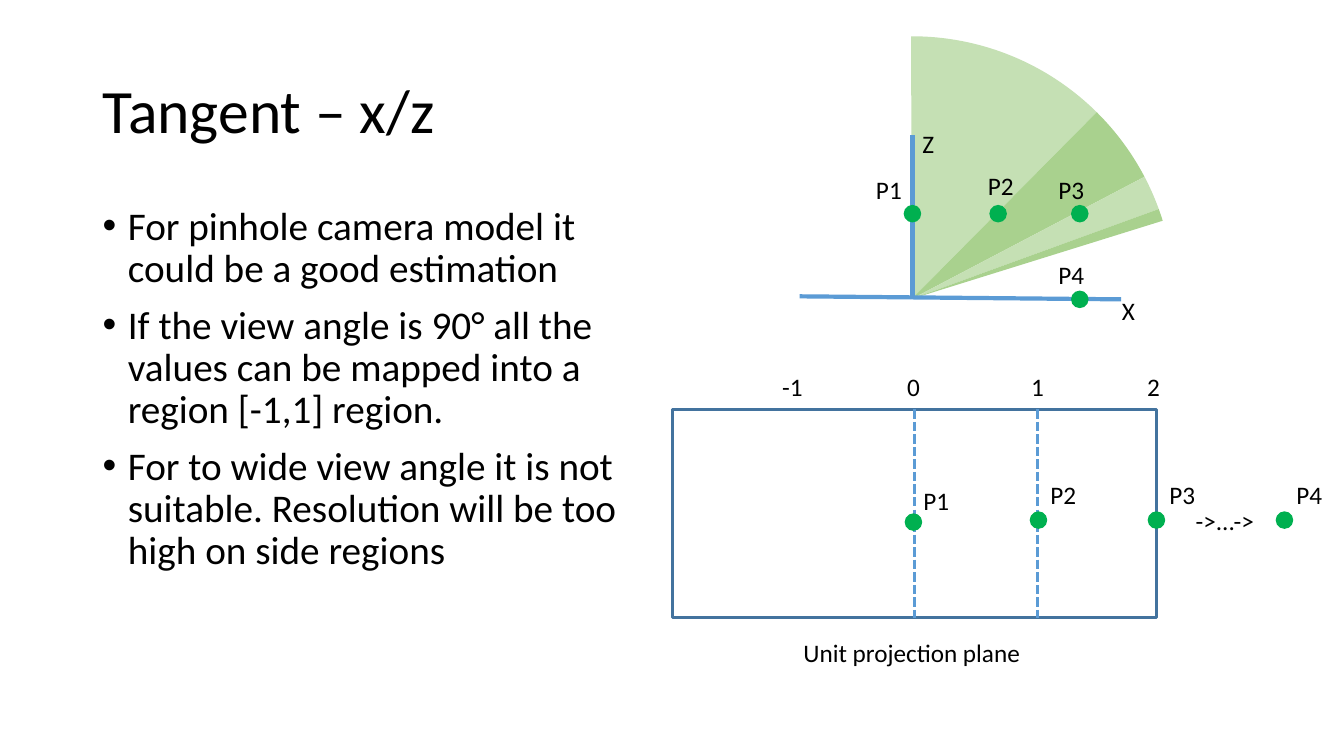
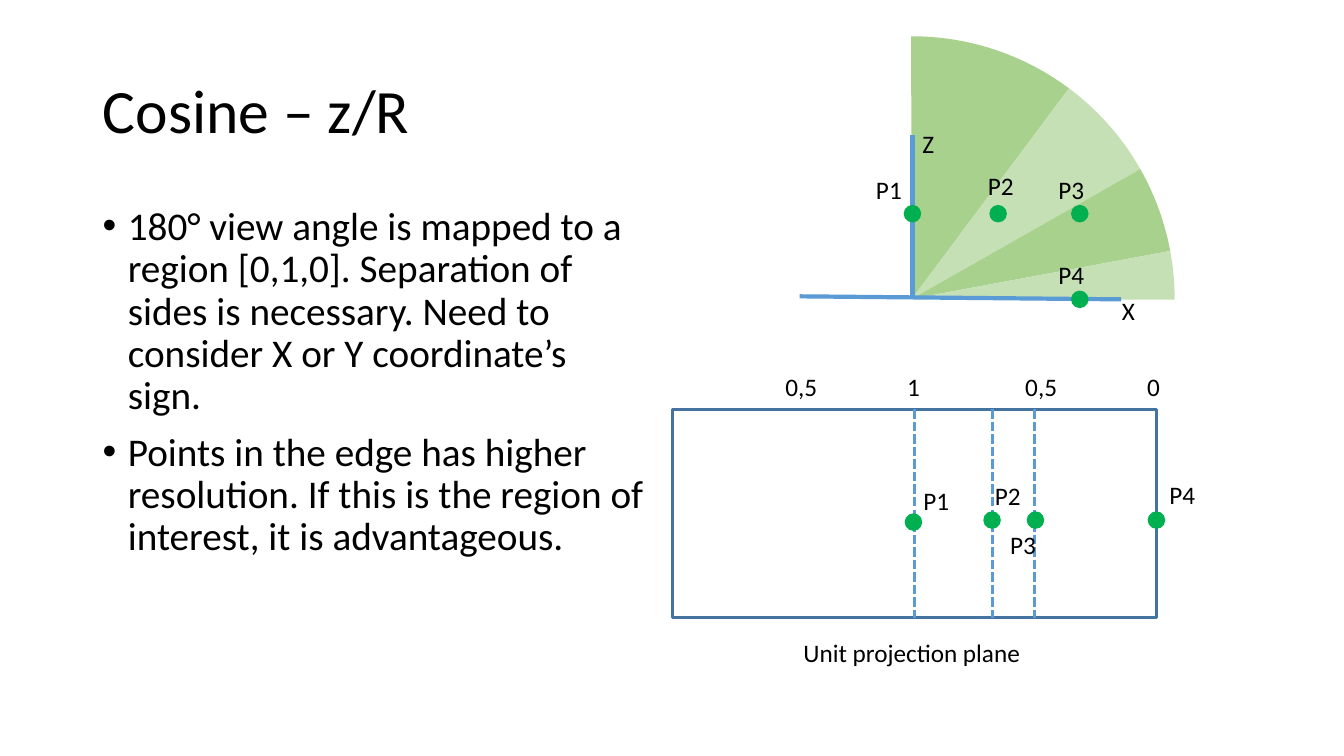
from lxml import etree
from pptx import Presentation
from pptx.dml.color import RGBColor
from pptx.enum import dml, shapes, text
from pptx.oxml import ns
from pptx.util import Inches, Pt

BLACK = RGBColor(0, 0, 0)
LIGHT = RGBColor(0xC5, 0xE0, 0xB4)
MID = RGBColor(0xA9, 0xD1, 0x8E)
GREEN = RGBColor(0, 0xB0, 0x50)
BLUE = RGBColor(0x5B, 0x9B, 0xD5)
FRAME = RGBColor(0x43, 0x73, 0x9E)
KIND = shapes.MSO_SHAPE
TOP, BASE = 4.06, 6.13  # edges of the projection plane
DOT = 0.16


def write(frame, lines, size=18, wrap=False, bullet=False, space=None,
          before=0, anchor=text.MSO_ANCHOR.TOP):
    """Fill a text frame, one paragraph for each line."""
    frame.word_wrap = wrap
    frame.auto_size = text.MSO_AUTO_SIZE.NONE
    frame.vertical_anchor = anchor
    for i, line in enumerate(lines):
        para = frame.add_paragraph() if i else frame.paragraphs[0]
        para.alignment = text.PP_ALIGN.LEFT
        para.line_spacing = space
        para.space_before = Pt(before)
        run = para.add_run()
        run.text = line
        font = run.font
        font.name, font.size, font.color.rgb = "Calibri", Pt(size), BLACK
        if bullet:
            props = para._p.get_or_add_pPr()
            props.set("marL", str(Inches(0.25)))
            props.set("indent", str(Inches(-0.25)))
            etree.SubElement(props, ns.qn("a:buFont"), typeface="Arial")
            etree.SubElement(props, ns.qn("a:buChar"), char="\u2022")


def rule(slide, x1, y1, x2, y2, width, dash=None):
    """Draw a straight blue line."""
    line = slide.shapes.add_connector(
        shapes.MSO_CONNECTOR.STRAIGHT,
        Inches(x1), Inches(y1), Inches(x2), Inches(y2))
    line.line.color.rgb, line.line.width = BLUE, Pt(width)
    line.line.dash_style = dash
    etree.SubElement(line._element.spPr, ns.qn("a:effectLst"))


# Shared by both slides: labels (text, x, y, width) and dots (x, y)
SAME = [("Z", 9.05, 1.22, 0.32), ("X", 11.03, 2.88, 0.33),
        ("P1", 8.59, 1.68, 0.46), ("P2", 9.7, 1.64, 0.46),
        ("P3", 10.4, 1.68, 0.46), ("P4", 10.4, 2.52, 0.46),
        ("P1", 9.06, 4.77, 0.46), ("Unit projection plane", 7.87, 6.27, 2.38)]
DOTS = [(8.97, 2.04), (9.82, 2.04), (10.63, 2.04), (10.63, 2.89),
        (8.98, 5.1), (11.39, 5.08)]

PAGES = [
    dict(title="Tangent \u2013 x/z", wide=11.5,
         body=["For pinhole camera model it could be a good estimation",
               "If the view angle is 90\u00b0 all the values can be mapped "
               "into a region [-1,1] region.",
               "For to wide view angle it is not suitable. Resolution will "
               "be too high on side regions"],
         angles=[269.8, 314.7, 332.3, 340, 342.7], fills=[LIGHT, MID],
         cuts=[9.07, 10.29], dots=[10.22, 12.66],
         labels=[("P2", 10.32, 4.71, 0.46), ("P3", 11.5, 4.71, 0.46),
                 ("P4", 12.76, 4.71, 0.46), ("->...->", 11.76, 4.96, 0.8),
                 ("-1", 7.66, 3.63, 0.41), ("0", 8.9, 3.63, 0.33),
                 ("1", 10.13, 3.63, 0.33), ("2", 11.28, 3.63, 0.33)]),
    dict(title="Cosine \u2013 z/R", wide=5.75,
         body=["180\u00b0 view angle is mapped to a region [0,1,0]. "
               "Separation of sides is necessary. Need to consider X or Y "
               "coordinate\u2019s sign.",
               "Points in the edge has higher resolution. If this is the "
               "region of interest, it is advantageous."],
         angles=[269.8, 306.7, 330.4, 349.5, 0.2], fills=[MID, LIGHT],
         cuts=[9.07, 9.84, 10.26], dots=[9.76, 10.19],
         labels=[("P2", 9.77, 4.72, 0.46), ("P3", 9.92, 5.2, 0.46),
                 ("P4", 11.5, 4.71, 0.46), ("0,5", 7.69, 3.63, 0.52),
                 ("1", 8.9, 3.63, 0.33), ("0,5", 10.07, 3.63, 0.52),
                 ("0", 11.28, 3.63, 0.33)]),
]

deck = Presentation()
deck.slide_width, deck.slide_height = Inches(13.33), Inches(7.5)

for page in PAGES:
    slide = deck.slides.add_slide(deck.slide_layouts[5])

    # View sectors; a pie adjustment is 0.6 per degree
    angles = page["angles"]
    for i, (start, end) in enumerate(zip(angles, angles[1:])):
        pie = slide.shapes.add_shape(KIND.PIE, Inches(6.44), Inches(0.36),
                                     Inches(5.21), Inches(5.21))
        pie.adjustments[0] = start * 0.6
        pie.adjustments[1] = end * 0.6
        pie.shadow.inherit = False
        pie.fill.solid()
        pie.fill.fore_color.rgb = page["fills"][i % 2]
        pie.line.fill.background()

    title = slide.shapes.title
    title.left, title.top = Inches(0.92), Inches(0.4)
    title.width, title.height = Inches(page["wide"]), Inches(1.45)
    write(title.text_frame, [page["title"]], size=44, wrap=True, space=0.9,
          anchor=text.MSO_ANCHOR.MIDDLE)
    body = slide.shapes.add_textbox(Inches(0.92), Inches(2),
                                    Inches(5.6), Inches(4.76))
    write(body.text_frame, page["body"], size=28, wrap=True, bullet=True,
          space=0.9, before=10)

    # Axes and projection plane
    rule(slide, 7.93, 2.94, 11.12, 2.97, 3)
    rule(slide, 9.05, 2.97, 9.05, 1.34, 3)
    plane = slide.shapes.add_shape(KIND.RECTANGLE, Inches(6.67), Inches(TOP),
                                   Inches(4.8), Inches(BASE - TOP))
    plane.shadow.inherit = False
    plane.fill.background()
    plane.line.color.rgb, plane.line.width = FRAME, Pt(2.25)
    for x in page["cuts"]:
        rule(slide, x, TOP, x, BASE, 2.25, dml.MSO_LINE.SQUARE_DOT)

    for x, y in DOTS + [(x, 5.08) for x in page["dots"]]:
        dot = slide.shapes.add_shape(KIND.FLOWCHART_CONNECTOR, Inches(x),
                                     Inches(y), Inches(DOT), Inches(DOT))
        dot.shadow.inherit = False
        dot.fill.solid()
        dot.fill.fore_color.rgb = GREEN
        dot.line.color.rgb, dot.line.width = GREEN, Pt(1)

    for name, x, y, w in SAME + page["labels"]:
        label = slide.shapes.add_textbox(Inches(x), Inches(y),
                                         Inches(w), Inches(0.4))
        write(label.text_frame, [name])

deck.save("out.pptx")
